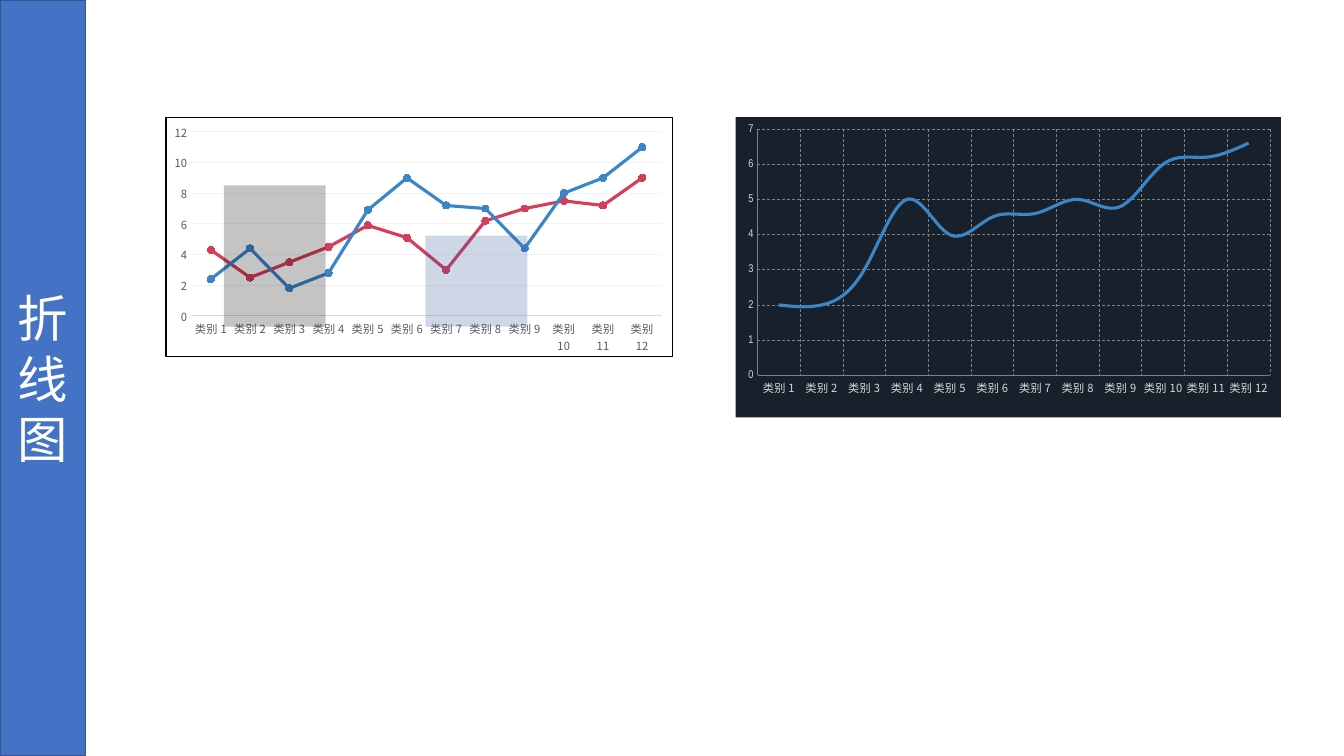
from dataclasses import dataclass
from typing import Optional

from lxml.etree import SubElement
from pptx import Presentation
from pptx.chart.axis import CategoryAxis, ValueAxis
from pptx.chart.chart import Chart
from pptx.chart.data import CategoryChartData
from pptx.dml.color import RGBColor
from pptx.enum.chart import XL_CHART_TYPE, XL_MARKER_STYLE, XL_TICK_MARK
from pptx.enum.dml import MSO_LINE
from pptx.enum.shapes import MSO_SHAPE
from pptx.enum.text import MSO_ANCHOR, PP_ALIGN
from pptx.oxml import parse_xml
from pptx.oxml.ns import nsdecls, qn
from pptx.shapes.autoshape import Shape
from pptx.slide import Slide
from pptx.util import Cm, Pt


@dataclass(frozen=True)
class Theme:
    """Colours, fonts and type sizes of the slide."""
    sidebar: str = "4472C4"
    sidebar_edge: str = "325491"
    white: str = "FFFFFF"
    black: str = "000000"
    red: str = "D63D5B"
    blue: str = "3B86C7"
    navy: str = "2F5597"
    dark: str = "18212B"
    label: str = "595959"
    pale: str = "D9D9D9"
    faint: str = "F2F2F2"
    grey: str = "808080"
    font: str = "Noto Sans CJK SC"
    narrow_font: str = "Arial Narrow"
    title_size: int = 36
    chart_size: int = 10
    axis_size: int = 8


@dataclass(frozen=True)
class Box:
    """A rectangle in centimetres."""
    left: float
    top: float
    width: float
    height: float

    def lengths(self) -> tuple[Cm, Cm, Cm, Cm]:
        """Give the four values as lengths."""
        return Cm(self.left), Cm(self.top), Cm(self.width), Cm(self.height)


@dataclass(frozen=True)
class Stroke:
    """A line format."""
    color: str
    width: float = 0.75
    dashed: bool = False


@dataclass(frozen=True)
class AxisStyle:
    """The look of one chart axis."""
    text_color: str
    font: str
    line: Optional[Stroke] = None
    grid: Optional[Stroke] = None


@dataclass(frozen=True)
class LineSeries:
    """One line of a chart."""
    name: str
    values: tuple[float, ...]
    color: str


@dataclass(frozen=True)
class LineChart:
    """A line chart with its frame, axes and plot area fractions."""
    box: Box
    plot: tuple[float, float, float, float]
    series: tuple[LineSeries, ...]
    category_axis: AxisStyle
    value_axis: AxisStyle
    maximum: float
    step: float
    markers: bool = False
    smooth: bool = False
    fill: Optional[str] = None
    border: Optional[str] = None


THEME = Theme()
CATEGORIES = [f"类别 {number}" for number in range(1, 13)]
SIDEBAR = Box(0, 0, 2.16, 19.05)
BAND_WIDTH, BAND_BOTTOM = 2.57, 8.23
BANDS = ((5.64, 4.67, THEME.black), (10.72, 5.94, THEME.navy))
BAND_OPACITY = 23
DASHES = Stroke(THEME.grey, 0.5, dashed=True)
AXIS_LINE = Stroke(THEME.grey)

MARKER_CHART = LineChart(
    box=Box(4.17, 2.95, 12.78, 6.05),
    plot=(0.05, 0.06, 0.93, 0.77),
    series=(
        LineSeries("Series 1", (4.3, 2.5, 3.5, 4.5, 5.9, 5.1, 3, 6.2, 7, 7.5, 7.2, 9), THEME.red),
        LineSeries("Series 2", (2.4, 4.4, 1.8, 2.8, 6.9, 9, 7.2, 7, 4.4, 8, 9, 11), THEME.blue),
    ),
    category_axis=AxisStyle(THEME.label, THEME.font, line=Stroke(THEME.pale)),
    value_axis=AxisStyle(THEME.label, THEME.font, grid=Stroke(THEME.faint)),
    maximum=12, step=2, markers=True, border=THEME.black,
)
SMOOTH_CHART = LineChart(
    box=Box(18.54, 2.95, 13.74, 7.57),
    plot=(0.04, 0.04, 0.94, 0.82),
    series=(LineSeries("Series 1", (2, 2, 3, 5, 4, 4.5, 4.6, 5, 4.8, 6, 6.2, 6.6), THEME.blue),),
    category_axis=AxisStyle(THEME.pale, THEME.font, AXIS_LINE, DASHES),
    value_axis=AxisStyle(THEME.pale, THEME.narrow_font, AXIS_LINE, DASHES),
    maximum=7, step=1, smooth=True, fill=THEME.dark,
)


def apply_stroke(line, stroke: Optional[Stroke]) -> None:
    """Format a line, or hide it when there is no stroke."""
    if stroke is None:
        line.fill.background()
        return
    line.color.rgb = RGBColor.from_string(stroke.color)
    line.width = Pt(stroke.width)
    if stroke.dashed:
        line.dash_style = MSO_LINE.DASH


def format_font(font, *, name: str, size: int, color: str) -> None:
    """Set typeface, size and colour."""
    font.name, font.size = name, Pt(size)
    font.color.rgb = RGBColor.from_string(color)


def match_east_asian(element) -> None:
    """Use each Latin typeface for Chinese text as well."""
    for latin in list(element.iter(qn("a:latin"))):
        typeface = latin.get("typeface")
        latin.addnext(parse_xml(f'<a:ea {nsdecls("a")} typeface="{typeface}"/>'))


def add_rectangle(slide: Slide, box: Box, color: str, *, edge: Optional[Stroke] = None,
                  opacity: int = 100) -> Shape:
    """Draw a filled rectangle, translucent if asked."""
    shape = slide.shapes.add_shape(MSO_SHAPE.RECTANGLE, *box.lengths())
    shape.shadow.inherit = False
    shape.fill.solid()
    shape.fill.fore_color.rgb = RGBColor.from_string(color)
    apply_stroke(shape.line, edge)
    if opacity < 100:
        fill_color = shape.element.spPr.find(qn("a:solidFill"))[0]
        SubElement(fill_color, qn("a:alpha")).set("val", str(opacity * 1000))
    return shape


def write_text(shape: Shape, text: str, *, size: int, color: str) -> None:
    """Write centred text into a shape."""
    frame = shape.text_frame
    frame.word_wrap = True
    frame.vertical_anchor = MSO_ANCHOR.MIDDLE
    paragraph = frame.paragraphs[0]
    paragraph.alignment = PP_ALIGN.CENTER
    run = paragraph.add_run()
    run.text = text
    format_font(run.font, name=THEME.font, size=size, color=color)
    match_east_asian(shape.element)


def style_axis(axis: CategoryAxis | ValueAxis, style: AxisStyle) -> None:
    """Apply labels, line and grid to an axis."""
    axis.major_tick_mark = axis.minor_tick_mark = XL_TICK_MARK.NONE
    format_font(axis.tick_labels.font, name=style.font, size=THEME.axis_size, color=style.text_color)
    apply_stroke(axis.format.line, style.line)
    axis.has_major_gridlines = style.grid is not None
    if style.grid:
        apply_stroke(axis.major_gridlines.format.line, style.grid)


def frame_chart(chart: Chart, design: LineChart) -> None:
    """Set the chart background, border and inner plot area."""
    def paint(color: Optional[str]) -> str:
        return f'<a:solidFill><a:srgbClr val="{color}"/></a:solidFill>' if color else "<a:noFill/>"

    body = chart.element.find(qn("c:chart"))
    body.addnext(parse_xml(
        f'<c:spPr {nsdecls("c", "a")}>{paint(design.fill)}'
        f'<a:ln w="{Pt(0.75)}">{paint(design.border)}</a:ln></c:spPr>'))
    plot_area = body.find(qn("c:plotArea"))
    for layout in plot_area.findall(qn("c:layout")):
        plot_area.remove(layout)
    sizes = "".join(f'<c:{key} val="{value}"/>' for key, value in zip("xywh", design.plot))
    plot_area.insert(0, parse_xml(
        f'<c:layout {nsdecls("c")}><c:manualLayout><c:layoutTarget val="inner"/>'
        f'<c:xMode val="edge"/><c:yMode val="edge"/>{sizes}</c:manualLayout></c:layout>'))


def add_line_chart(slide: Slide, design: LineChart) -> None:
    """Draw a line chart from its design."""
    data = CategoryChartData()
    data.categories = CATEGORIES
    for line in design.series:
        data.add_series(line.name, line.values)
    kind = XL_CHART_TYPE.LINE_MARKERS if design.markers else XL_CHART_TYPE.LINE
    chart = slide.shapes.add_chart(kind, *design.box.lengths(), data).chart
    chart.has_title = chart.has_legend = False
    format_font(chart.font, name=THEME.font, size=THEME.chart_size, color=THEME.black)
    plot = chart.plots[0]
    plot.vary_by_categories = False
    for series, line in zip(plot.series, design.series):
        series.smooth = design.smooth
        apply_stroke(series.format.line, Stroke(line.color, 2.25))
        series.marker.style = XL_MARKER_STYLE.CIRCLE if design.markers else XL_MARKER_STYLE.NONE
        if design.markers:
            series.marker.size = 5
            series.marker.format.fill.solid()
            series.marker.format.fill.fore_color.rgb = RGBColor.from_string(line.color)
            apply_stroke(series.marker.format.line, Stroke(line.color))
    style_axis(chart.category_axis, design.category_axis)
    style_axis(chart.value_axis, design.value_axis)
    chart.value_axis.minimum_scale, chart.value_axis.maximum_scale = 0, design.maximum
    chart.value_axis.major_unit = design.step
    frame_chart(chart, design)
    match_east_asian(chart.element)


def main() -> None:
    """Build and save the slide."""
    presentation = Presentation()
    presentation.slide_width, presentation.slide_height = Cm(33.87), Cm(19.05)
    slide = presentation.slides.add_slide(presentation.slide_layouts[6])
    sidebar = add_rectangle(slide, SIDEBAR, THEME.sidebar, edge=Stroke(THEME.sidebar_edge, 1))
    write_text(sidebar, "折线图", size=THEME.title_size, color=THEME.white)
    add_line_chart(slide, MARKER_CHART)
    for left, top, color in BANDS:
        band = Box(left, top, BAND_WIDTH, BAND_BOTTOM - top)
        add_rectangle(slide, band, color, opacity=BAND_OPACITY)
    add_line_chart(slide, SMOOTH_CHART)
    presentation.save("out.pptx")


main()
